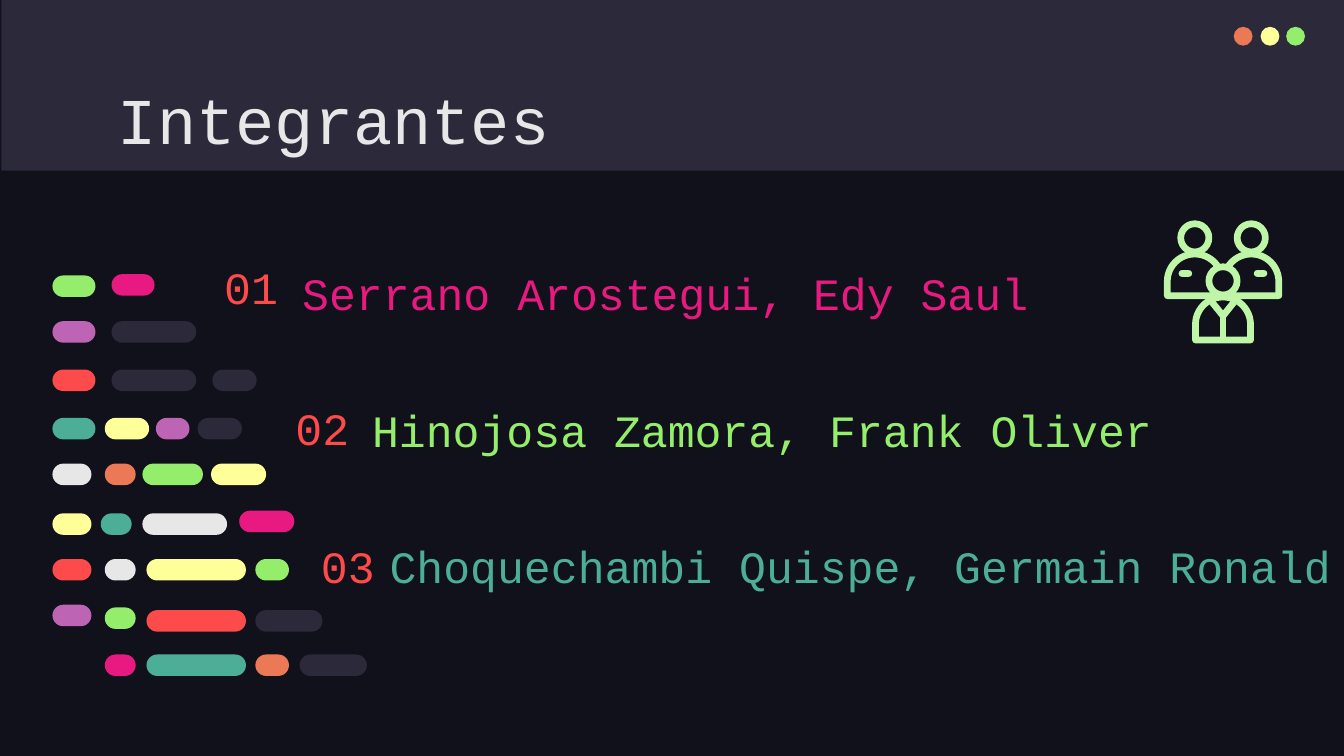
from math import cos, pi, sin

from lxml.etree import SubElement
from pptx import Presentation
from pptx.dml.color import RGBColor
from pptx.enum.shapes import MSO_CONNECTOR, MSO_SHAPE
from pptx.enum.text import MSO_ANCHOR
from pptx.oxml.ns import qn
from pptx.util import Inches, Pt

NIGHT = RGBColor(0x10, 0x11, 0x1A)
SLATE = RGBColor(0x2C, 0x29, 0x3A)
WHITE = RGBColor(0xE7, 0xE7, 0xE7)
RED = RGBColor(0xFD, 0x4A, 0x4A)
PINK = RGBColor(0xE8, 0x1A, 0x81)
GREEN = RGBColor(0x94, 0xEE, 0x6B)
TEAL = RGBColor(0x4C, 0xAE, 0x97)
ORANGE = RGBColor(0xEC, 0x79, 0x55)
YELLOW = RGBColor(0xFF, 0xFF, 0x99)
PURPLE = RGBColor(0xBD, 0x64, 0xB5)
MINT = RGBColor(0xBF, 0xF5, 0xA6)

PILL_HEIGHT = 0.16
# top, then (left, width, colour) for each pill
CODE_LINES = [
    (2.05, [(0.39, 0.32, GREEN)]),
    (2.04, [(0.83, 0.32, PINK)]),
    (2.39, [(0.39, 0.32, PURPLE), (0.83, 0.63, SLATE)]),
    (2.75, [(0.39, 0.32, RED), (0.83, 0.63, SLATE), (1.58, 0.33, SLATE)]),
    (3.11, [(0.39, 0.32, TEAL), (0.78, 0.33, YELLOW), (1.16, 0.25, PURPLE), (1.47, 0.33, SLATE)]),
    (3.45, [(0.39, 0.29, WHITE), (0.78, 0.23, ORANGE), (1.06, 0.45, GREEN), (1.57, 0.41, YELLOW)]),
    (3.82, [(0.39, 0.29, YELLOW), (0.75, 0.23, TEAL), (1.06, 0.63, WHITE)]),
    (3.8, [(1.78, 0.41, PINK)]),
    (4.16, [(0.39, 0.29, RED), (0.78, 0.23, WHITE), (1.09, 0.74, YELLOW), (1.9, 0.25, GREEN)]),
    (4.5, [(0.39, 0.29, PURPLE)]),
    (4.52, [(0.78, 0.23, GREEN)]),
    (4.54, [(1.09, 0.74, RED), (1.9, 0.5, SLATE)]),
    (4.87, [(0.78, 0.23, PINK), (1.09, 0.74, TEAL), (1.9, 0.25, ORANGE), (2.23, 0.5, SLATE)]),
]

# number, its box, name, its box, name colour
MEMBERS = [
    ("01", (1.57, 1.92, 0.66, 0.43), "Serrano Arostegui, Edy Saul", (2.15, 1.95, 5.66, 0.53), PINK),
    ("02", (2.1, 2.97, 0.66, 0.43), "Hinojosa Zamora, Frank Oliver", (2.67, 2.97, 6.24, 0.53), GREEN),
    ("03", (2.29, 4.03, 0.66, 0.36), "Choquechambi Quispe, Germain Ronald", (2.8, 3.87, 7.31, 0.64), TEAL),
]


class SlidePainter:
    font = "Courier New"
    margin = Inches(0.1)
    icon_line = Pt(3.6)

    def __init__(self, slide):
        self.slide = slide
        self.slide.background.fill.solid()
        self.slide.background.fill.fore_color.rgb = NIGHT

    def paint(self, shape, fill, line=None):
        shape.shadow.inherit = False
        shape.fill.solid()
        shape.fill.fore_color.rgb = fill
        if line is None:
            shape.line.fill.background()
        else:
            shape.line.color.rgb = line
            shape.line.width = self.icon_line

    def shape(self, kind, left, top, width, height, fill, line=None):
        shape = self.slide.shapes.add_shape(
            kind, Inches(left), Inches(top), Inches(width), Inches(height))
        self.paint(shape, fill, line)
        return shape

    def pill(self, left, top, width, height, fill):
        pill = self.shape(MSO_SHAPE.ROUNDED_RECTANGLE, left, top, width, height, fill)
        pill.adjustments[0] = 0.5

    def text(self, words, place, size, colour, anchor, line_spacing=1.0):
        box = self.slide.shapes.add_textbox(*map(Inches, place))
        frame = box.text_frame
        frame.word_wrap = True
        frame.vertical_anchor = anchor
        frame.margin_left = frame.margin_right = self.margin
        frame.margin_top = frame.margin_bottom = self.margin
        frame.text = words
        para = frame.paragraphs[0]
        para.line_spacing = line_spacing
        font = para.runs[0].font
        font.name, font.size, font.color.rgb = self.font, Pt(size), colour

    def line(self, start, end):
        line = self.slide.shapes.add_connector(
            MSO_CONNECTOR.STRAIGHT, *map(Inches, start + end))
        line.line.color.rgb = MINT
        line.line.width = self.icon_line
        SubElement(line._element.spPr, qn("a:effectLst"))

    def head(self, centre, middle, radius=0.105):
        self.shape(MSO_SHAPE.OVAL, centre - radius, middle - radius,
                   2 * radius, 2 * radius, NIGHT, MINT)

    def shoulders(self, centre, top, bottom, radius=0.205, steps=24):
        """Draw a half circle standing on a straight base."""
        points = [(centre - radius * cos(pi * step / steps),
                   top + radius - radius * sin(pi * step / steps))
                  for step in range(steps + 1)]
        points += [(centre + radius, bottom), (centre - radius, bottom)]
        points = [(Inches(x), Inches(y)) for x, y in points]
        builder = self.slide.shapes.build_freeform(*points[0])
        builder.add_line_segments(points[1:], close=True)
        self.paint(builder.convert_to_shape(), NIGHT, MINT)

    def team_icon(self, centre=9.1):
        for side in (-1, 1):
            self.shoulders(centre + side * 0.21, 1.89, 2.2)
            self.head(centre + side * 0.21, 1.77)
            self.pill(centre + side * 0.28 - 0.05, 2.01, 0.1, 0.05, MINT)
        self.shoulders(centre, 2.21, 2.53)
        for side in (-1, 1):
            self.line((centre + side * 0.08, 2.25), (centre, 2.35))
        self.line((centre, 2.35), (centre, 2.53))
        self.head(centre, 2.09)


def main():
    deck = Presentation()
    deck.slide_width = Inches(10)
    deck.slide_height = deck.slide_width * 9 // 16
    page = SlidePainter(deck.slides.add_slide(deck.slide_layouts[6]))

    page.shape(MSO_SHAPE.RECTANGLE, 0.01, 0, 10, 1.27, SLATE)
    for left, colour in ((9.18, ORANGE), (9.38, YELLOW), (9.57, GREEN)):
        page.shape(MSO_SHAPE.OVAL, left, 0.2, 0.14, 0.14, colour)
    page.text("Integrantes", (0.78, 0.49, 8.43, 0.63), 35, WHITE, MSO_ANCHOR.TOP)

    for number, number_place, name, name_place, colour in MEMBERS:
        page.text(number, number_place, 24, RED, MSO_ANCHOR.MIDDLE)
        page.text(name, name_place, 24, colour, MSO_ANCHOR.BOTTOM, 1.15)

    for top, pills in CODE_LINES:
        for left, width, colour in pills:
            page.pill(left, top, width, PILL_HEIGHT, colour)
    page.team_icon()
    deck.save("out.pptx")


if __name__ == "__main__":
    main()
